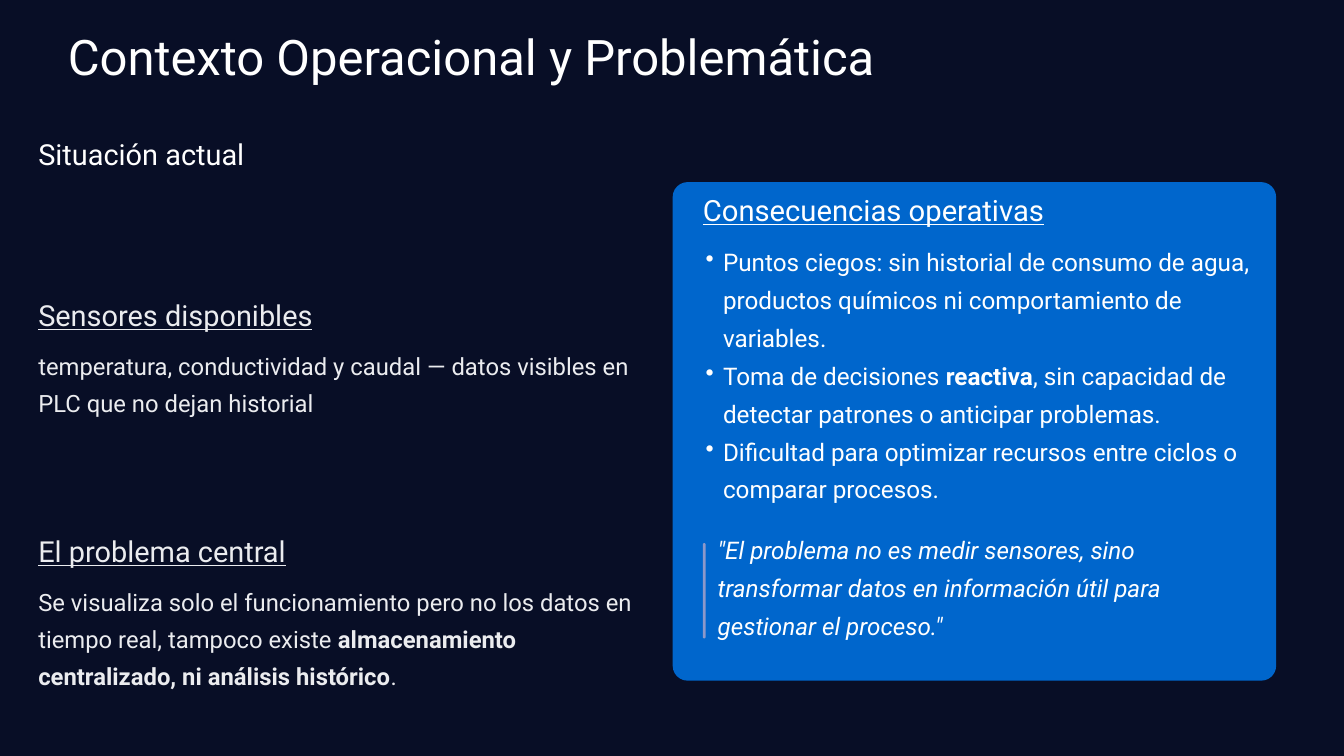
"""Build the slide on operating context and its problems."""
from lxml import etree
from pptx import Presentation, util as u
from pptx.dml.color import RGBColor
from pptx.enum import shapes, text
from pptx.oxml.ns import qn

HUES = {"night": "080E26", "white": "FFFFFF", "mist": "EBECEF",
        "blue": "0066CC", "lilac": "8C98CA"}
HEAD = {"size": 31, "gap": 38.7, "hue": "white"}
SUB = {**HEAD, "hue": "mist", "underline": True}
BODY = {"size": 25.5, "gap": 39.7, "hue": "mist"}
CARD = {"size": 26, "gap": 40.6, "hue": "white"}


class Deck:
    def __init__(self, wide, high):
        self.face = "Roboto"
        self.file = Presentation()
        self.file.slide_width, self.file.slide_height = u.Pt(wide), u.Pt(high)
        self.slide = self.file.slides.add_slide(self.file.slide_layouts[5])
        self.paint(self.slide.background.fill, "night")

    def paint(self, fill, hue):
        fill.solid()
        fill.fore_color.rgb = RGBColor.from_string(HUES[hue])

    def put(self, box, paras, look, dot=False):
        frame = box.text_frame
        form = {"word_wrap": True, "auto_size": text.MSO_AUTO_SIZE.NONE,
                "vertical_anchor": text.MSO_ANCHOR.TOP, "margin_left": 0,
                "margin_right": 0, "margin_top": 0, "margin_bottom": 0}
        for key, val in form.items():
            setattr(frame, key, val)
        for i, runs in enumerate(paras):
            para = frame.add_paragraph() if i else frame.paragraphs[0]
            if dot:
                props = para._p.get_or_add_pPr()
                props.set("marL", str(u.Pt(37.4)))
                props.set("indent", str(u.Pt(-18.7)))
                etree.SubElement(props, qn("a:buChar")).set("char", "•")
            form = {"alignment": text.PP_ALIGN.LEFT, "space_before": u.Pt(0),
                    "line_spacing": u.Pt(look["gap"])}
            for key, val in form.items():
                setattr(para, key, val)
            for j, words in enumerate(runs):
                run = para.add_run()
                run.text = words
                form = {"name": self.face, "size": u.Pt(look["size"]),
                        "bold": j % 2 == 1, "italic": look.get("italic"),
                        "underline": look.get("underline")}
                for key, val in form.items():
                    setattr(run.font, key, val)
                run.font.color.rgb = RGBColor.from_string(HUES[look["hue"]])

    def title(self, words, area, look):
        box = self.slide.shapes.title
        for key, val in zip(("left", "top", "width", "height"), area):
            setattr(box, key, u.Pt(val))
        self.put(box, [[words]], look)

    def label(self, paras, area, look, dot=False):
        box = self.slide.shapes.add_textbox(*map(u.Pt, area))
        self.put(box, paras, look, dot)

    def panel(self, area, hue, bend):
        box = self.slide.shapes.add_shape(
            shapes.MSO_SHAPE.ROUNDED_RECTANGLE, *map(u.Pt, area))
        box.adjustments[0] = bend
        box.shadow.inherit = False
        self.paint(box.fill, hue)
        box.line.fill.background()


def main():
    deck = Deck(1440, 810)
    deck.title("Contexto Operacional y Problemática", (72.7, 26, 1284.5, 67.7),
               {"size": 52.5, "gap": 65.6, "hue": "white"})
    left = 41
    deck.label([["Situación actual"]], (left, 144.7, 400, 38.2), HEAD)
    parts = [
        (317.5, "Sensores disponibles",
         ["temperatura, conductividad y caudal — datos visibles en PLC que no "
          "dejan historial"]),
        (570.3, "El problema central",
         ["Se visualiza solo el funcionamiento pero no los datos en tiempo "
          "real, tampoco existe ",
          "almacenamiento centralizado, ni análisis histórico", "."]),
    ]
    for top, head, runs in parts:
        deck.label([[head]], (left, top, 400, 38.2), SUB)
        deck.label([runs], (left, top + 50.4, 653.8, 115.2), BODY)

    deck.panel((720.7, 195.1, 646.6, 534.2), "blue", 0.03)
    deck.label([["Consecuencias operativas"]], (753.1, 204.5, 480, 39.6),
               {**HEAD, "size": 31.3, "gap": 39, "underline": True})
    deck.label([
        ["Puntos ciegos: sin historial de consumo de agua, productos químicos "
         "ni comportamiento de variables."],
        ["Toma de decisiones ", "reactiva",
         ", sin capacidad de detectar patrones o anticipar problemas."],
        ["Dificultad para optimizar recursos entre ciclos o comparar "
         "procesos."],
    ], (737.3, 255.6, 604.8, 282.2), CARD, dot=True)
    deck.label([['"El problema no es medir sensores, sino transformar datos en '
                 'información útil para gestionar el proceso."']],
               (769, 563.8, 573.1, 120.2), {**CARD, "italic": True})
    deck.panel((753.1, 581.8, 2.9, 102.2), "lilac", 0.5)
    deck.file.save("out.pptx")


if __name__ == "__main__":
    main()
